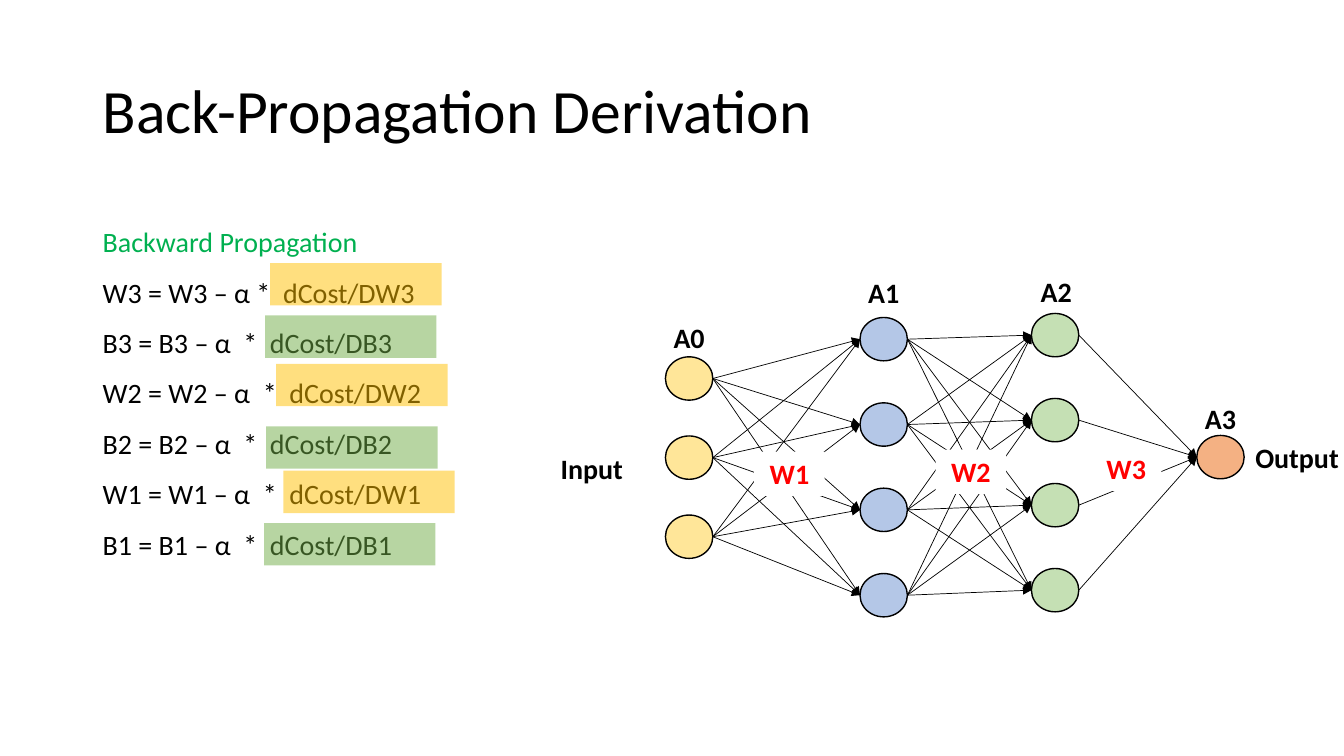
from itertools import pairwise, product

from pptx import Presentation
from pptx import util as u
from pptx.dml.color import RGBColor
from pptx.enum import shapes, text
from pptx.oxml.ns import qn
from lxml import etree

EMU_PER_PX = 9144  # 100 px to the inch
FONT = "Calibri"
COLORS = {
    "black": "000000", "white": "FFFFFF", "red": "FF0000", "heading": "00B050",
    "weight": "FFC000", "bias": "70AD47",
    "input": "FFE699", "hidden1": "B4C7E7", "hidden2": "C5E0B4", "output": "F4B183",
}
NODE_WIDTH, NODE_HEIGHT = 47, 43
LABEL_HEIGHT = 44

# Layers: left, first top, last top, node count, colour
LAYERS = [
    (660, 354, 511, 3, "input"),
    (853, 315, 569, 4, "hidden1"),
    (1023, 311, 564, 4, "hidden2"),
    (1187, 432, 432, 1, "output"),
]
# Labels: text, left, top, width
LABELS = [
    ("Input", 537, 443, 100), ("Output", 1228, 432, 117),
    ("A3", 1152, 393, 117), ("A2", 989, 267, 117),
    ("A1", 818, 268, 117), ("A0", 625, 313, 117),
]
WEIGHT_LABELS = [("W1", 748, 448), ("W2", 928, 446), ("W3", 1082, 443)]
EQUATIONS = [
    "W3 = W3 – α *  dCost/DW3",
    "B3 = B3 – α  *  dCost/DB3",
    "W2 = W2 – α  *  dCost/DW2",
    "B2 = B2 – α  *  dCost/DB2",
    "W1 = W1 – α  *  dCost/DW1",
    "B1 = B1 – α  *  dCost/DB1",
]
# Highlights over the gradients: left, top, colour
HIGHLIGHTS = [
    (268, 261, "weight"), (274, 361, "weight"), (281, 467, "weight"),
    (263, 313, "bias"), (264, 423, "bias"), (262, 519, "bias"),
]


def px(length):
    return u.Emu(round(length * EMU_PER_PX))


def color(name):
    return RGBColor.from_string(COLORS[name])


def write_paragraph(paragraph, content, *, size=20, ink="black", bold=False,
                    align=text.PP_ALIGN.LEFT, spacing=1.0):
    paragraph.alignment = align
    paragraph.line_spacing = spacing
    run = paragraph.add_run()
    run.text = content
    run.font.name = FONT
    run.font.size = u.Pt(size)
    run.font.bold = bold
    run.font.color.rgb = color(ink)


def add_text(slide, box, content, *, anchor=text.MSO_ANCHOR.TOP, **style):
    frame = slide.shapes.add_textbox(*map(px, box)).text_frame
    frame.word_wrap = True
    frame.vertical_anchor = anchor
    write_paragraph(frame.paragraphs[0], content, **style)
    return frame


def add_filled(slide, kind, box, fill, *, outlined=False, opacity=100):
    shape = slide.shapes.add_shape(kind, *map(px, box))
    shape.shadow.inherit = False
    shape.fill.solid()
    shape.fill.fore_color.rgb = color(fill)
    if outlined:
        shape.line.color.rgb = color("black")
        shape.line.width = u.Pt(1)
    else:
        shape.line.fill.background()
    if opacity < 100:
        tint = shape.fill._xPr.find(qn("a:solidFill"))[0]
        etree.SubElement(tint, qn("a:alpha"), val=str(opacity * 1000))
    return shape


def add_arrow(slide, start, end):
    connector = slide.shapes.add_connector(
        shapes.MSO_CONNECTOR.STRAIGHT, *map(px, (*start, *end)))
    connector.line.color.rgb = color("black")
    connector.line.width = u.Pt(0.5)
    etree.SubElement(connector.line._get_or_add_ln(), qn("a:tailEnd"), type="triangle")
    etree.SubElement(connector._element.spPr, qn("a:effectLst"))


def node_tops(first, last, count):
    step = (last - first) / max(count - 1, 1)
    return [first + step * index for index in range(count)]


def add_layer(slide, left, first, last, count, fill):
    for top in node_tops(first, last, count):
        add_filled(slide, shapes.MSO_SHAPE.OVAL, (left, top, NODE_WIDTH, NODE_HEIGHT),
                   fill, outlined=True)


def connect_layers(slide, source, target):
    for start, end in product(node_tops(*source[1:4]), node_tops(*target[1:4])):
        add_arrow(slide, (source[0] + NODE_WIDTH, start + NODE_HEIGHT / 2),
                  (target[0], end + NODE_HEIGHT / 2))


def add_weight_label(slide, name, left, top):
    shape = add_filled(slide, shapes.MSO_SHAPE.RECTANGLE,
                       (left, top, 70, LABEL_HEIGHT), "white")
    frame = shape.text_frame
    frame.word_wrap = True
    frame.vertical_anchor = text.MSO_ANCHOR.TOP
    write_paragraph(frame.paragraphs[0], name, ink="red", bold=True,
                    align=text.PP_ALIGN.CENTER)


def main():
    presentation = Presentation()
    presentation.slide_width, presentation.slide_height = px(1333), px(750)
    slide = presentation.slides.add_slide(presentation.slide_layouts[6])

    # Title and update rules
    add_text(slide, (92, 40, 1150, 145), "Back-Propagation Derivation", size=44,
             spacing=0.9, anchor=text.MSO_ANCHOR.MIDDLE)
    rules = add_text(slide, (92, 218, 428, 341), "Backward Propagation", ink="heading")
    for equation in EQUATIONS:
        write_paragraph(rules.add_paragraph(), equation, spacing=1.5)
    for left, top, fill in HIGHLIGHTS:
        add_filled(slide, shapes.MSO_SHAPE.RECTANGLE, (left, top, 170, 42), fill,
                   opacity=50)

    # Network nodes and arrows
    for layer in LAYERS:
        add_layer(slide, *layer)
    for source, target in pairwise(LAYERS):
        connect_layers(slide, source, target)

    # Layer and weight labels
    for name, left, top, width in LABELS:
        add_text(slide, (left, top, width, LABEL_HEIGHT), name, bold=True,
                 align=text.PP_ALIGN.CENTER)
    for label in WEIGHT_LABELS:
        add_weight_label(slide, *label)

    presentation.save("out.pptx")


if __name__ == "__main__":
    main()
